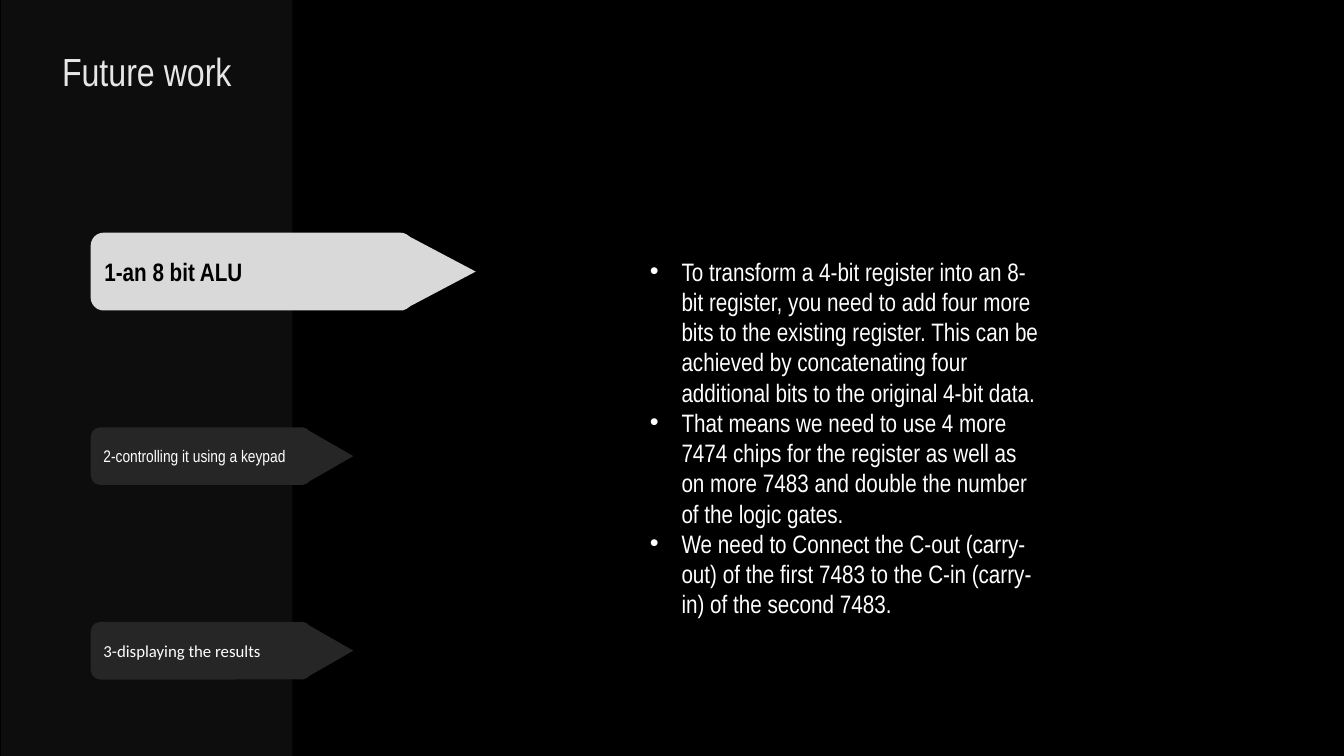
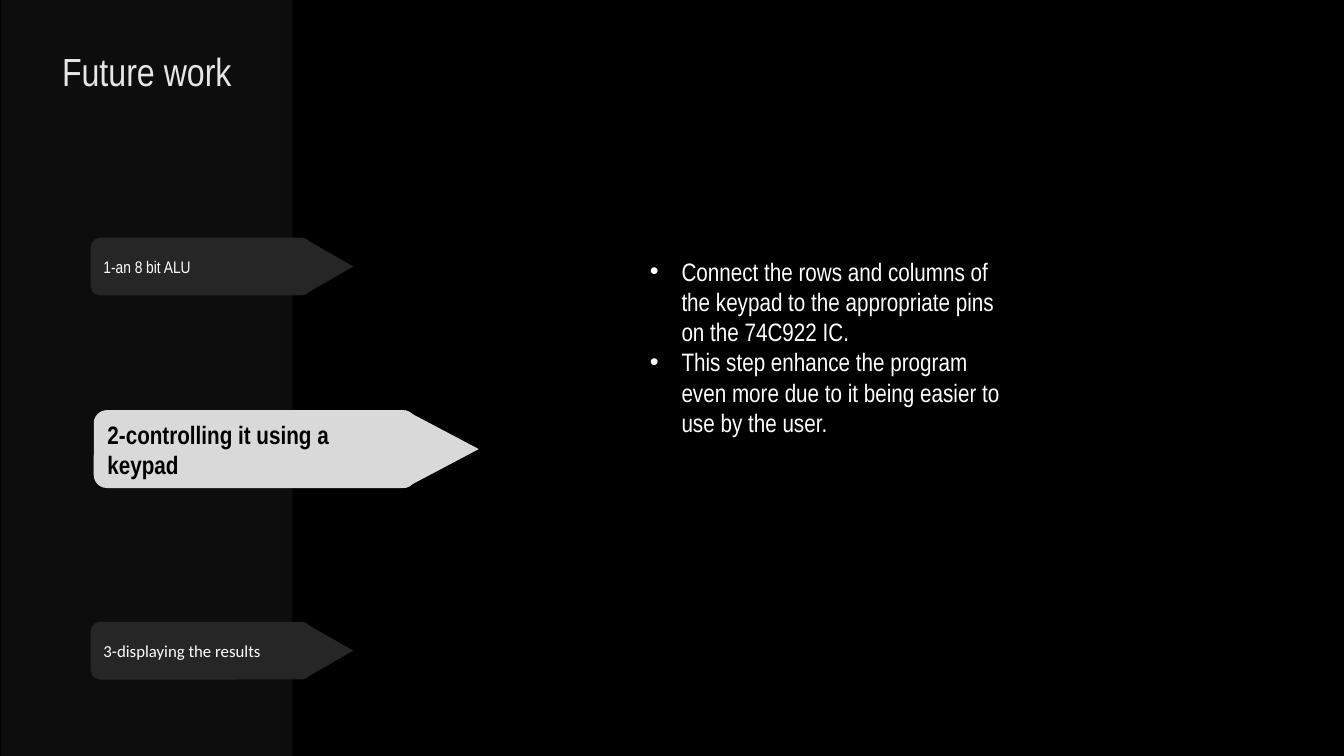
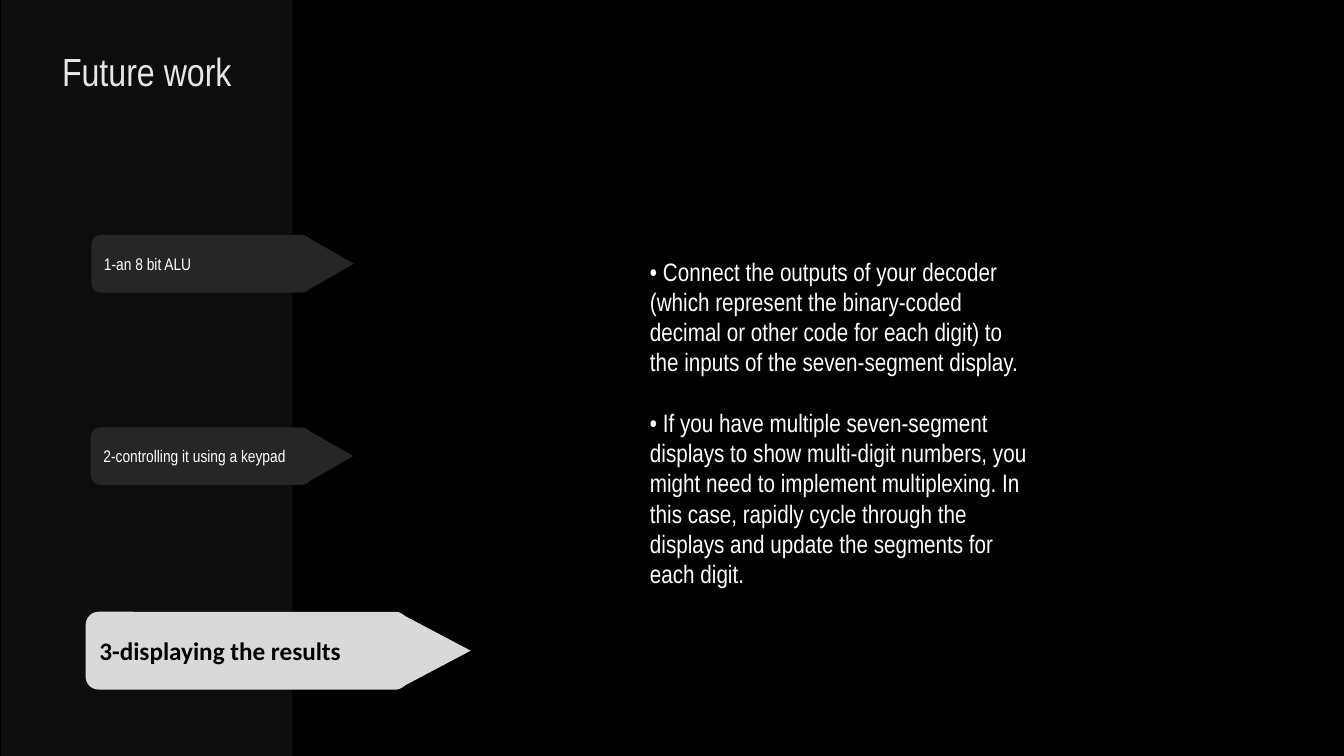
"""Builds three dark slides on future work, each with one of three arrows lit."""
import pptx
import pptx.util
import pptx.dml.color
import pptx.enum.shapes
import pptx.enum.text
import pptx.oxml.ns
import lxml.etree

Pt = pptx.util.Pt
KINDS = pptx.enum.shapes.MSO_SHAPE
ANCHOR = pptx.enum.text.MSO_ANCHOR
ALIGN = pptx.enum.text.PP_ALIGN

TITLE = "Future work"
BLACK, PANEL, LIGHT, WHITE = "000000", "0D0D0D", "E7E6E6", "FFFFFF"
NARROW = "Arial Narrow"
INDENT = 22.5

TOPICS = [
    ("1-an 8 bit ALU", NARROW),
    ("2-controlling it using a keypad", NARROW),
    ("3-displaying the results", "Calibri"),
]

DIM = {"body": 157.7, "high": 41.2, "tip": 187.6, "deep": 36,
       "fill": "262626", "ink": WHITE, "size": 12, "bold": False}
LIT = {"body": 230.4, "high": 55.6, "tip": 275, "deep": 52.6,
       "fill": "D9D9D9", "ink": BLACK, "size": 18, "bold": True}

SLIDES = [
    {
        "lit": 0,
        "spots": [(64.8, 194), (64.8, 325.8), (64.8, 464.8)],
        "width": 294.5, "height": 290.9, "bullets": True, "gap": 0,
        "notes": [
            "To transform a 4-bit register into an 8-bit register, you need "
            "to add four more bits to the existing register. This can be "
            "achieved by concatenating four additional bits to the original "
            "4-bit data.",
            "That means we need to use 4 more 7474 chips for the register as "
            "well as on more 7483 and double the number of the logic gates.",
            "We need to Connect the C-out (carry-out) of the first 7483 to "
            "the C-in (carry-in) of the second 7483.",
        ],
    },
    {
        "lit": 1,
        "spots": [(64.8, 190.4), (67, 320.8), (64.8, 464.8)],
        "width": 265, "height": 159.8, "bullets": True, "gap": 0,
        "notes": [
            "Connect the rows and columns of the keypad to the appropriate "
            "pins on the 74C922 IC.",
            "This step enhance the program even more due to it being easier "
            "to use by the user.",
        ],
    },
    {
        "lit": 2,
        "spots": [(65.2, 188.4), (64.8, 325.8), (61.2, 464.8)],
        "width": 285.1, "height": 269.3, "bullets": False, "gap": 21.6,
        "notes": [
            "• Connect the outputs of your decoder (which represent the "
            "binary-coded decimal or other code for each digit) to the "
            "inputs of the seven-segment display.",
            "• If you have multiple seven-segment displays to show "
            "multi-digit numbers, you might need to implement multiplexing. "
            "In this case, rapidly cycle through the displays and update the "
            "segments for each digit.",
        ],
    },
]


def paint(fill, code):
    fill.solid()
    fill.fore_color.rgb = pptx.dml.color.RGBColor.from_string(code)


def style(para, face, size, ink, bold=False, align=ALIGN.LEFT):
    para.alignment = align
    for run in para.runs:
        run.font.name = face
        run.font.size = Pt(size)
        run.font.bold = bold
        paint(run.font.fill, ink)


def shape(slide, kind, left, top, width, height, fill):
    item = slide.shapes.add_shape(
        kind, Pt(left), Pt(top), Pt(width), Pt(height))
    item.shadow.inherit = False
    item.line.fill.background()
    paint(item.fill, fill)
    return item


def box(slide, left, top, width, height):
    frame = slide.shapes.add_textbox(
        Pt(left), Pt(top), Pt(width), Pt(height)).text_frame
    frame.word_wrap = True
    return frame


def bullet(para):
    props = para._p.get_or_add_pPr()
    props.set("marL", str(Pt(INDENT)))
    props.set("indent", str(-Pt(INDENT)))
    for tag, key, value in (("a:buFont", "typeface", "Arial"),
                            ("a:buChar", "char", "•")):
        lxml.etree.SubElement(props, pptx.oxml.ns.qn(tag)).set(key, value)


def arrow(slide, left, mid, look, text, face):
    high, deep = look["high"], look["deep"]
    body = shape(slide, KINDS.ROUNDED_RECTANGLE, left, mid - high / 2,
                 look["body"], high, look["fill"])
    frame = body.text_frame
    frame.text = text
    frame.word_wrap = True
    frame.vertical_anchor = ANCHOR.MIDDLE
    style(frame.paragraphs[0], face, look["size"], look["ink"], look["bold"])
    centre = left + look["tip"] - deep / 2
    head = shape(slide, KINDS.ISOSCELES_TRIANGLE, centre - high / 2,
                 mid - deep / 2, high, deep, look["fill"])
    head.rotation = 90


def base(slide):
    shape(slide, KINDS.RECTANGLE, 0.7, 0, 208.1, 540, PANEL)
    frame = box(slide, 34.6, 30.2, 140.4, 41)
    frame.text = TITLE
    style(frame.paragraphs[0], NARROW, 28, LIGHT, align=ALIGN.CENTER)


def detail(slide, page):
    frame = box(slide, 457.2, 179.3, page["width"], page["height"])
    frame.text = "\n".join(page["notes"])
    for index, para in enumerate(frame.paragraphs):
        style(para, NARROW, 18, WHITE)
        if index:
            para.space_before = Pt(page["gap"])
        if page["bullets"]:
            bullet(para)


def main():
    deck = pptx.Presentation()
    deck.slide_width, deck.slide_height = Pt(960), Pt(540)
    paint(deck.slide_master.background.fill, BLACK)
    for page in SLIDES:
        slide = deck.slides.add_slide(deck.slide_layouts[6])
        base(slide)
        for index, (spot, topic) in enumerate(zip(page["spots"], TOPICS)):
            look = LIT if index == page["lit"] else DIM
            arrow(slide, *spot, look, *topic)
        detail(slide, page)
    deck.save("out.pptx")


if __name__ == "__main__":
    main()
